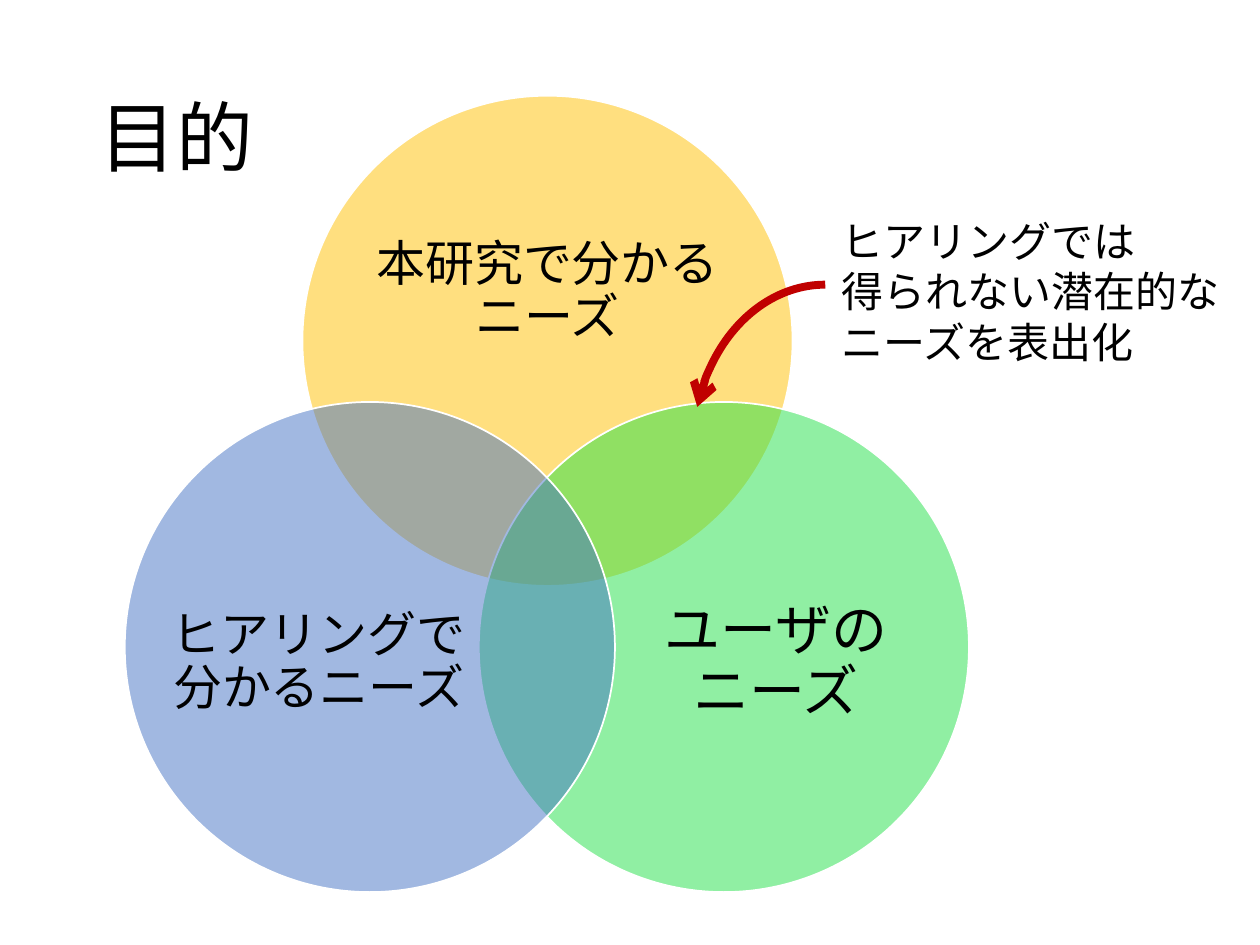
import pptx
import pptx.util
import pptx.dml.color
import pptx.enum.shapes
import pptx.enum.text
import pptx.oxml.ns
import lxml.etree

Inches, Pt = pptx.util.Inches, pptx.util.Pt
RGBColor = pptx.dml.color.RGBColor
SHAPES = pptx.enum.shapes.MSO_SHAPE
ANCHOR = pptx.enum.text.MSO_ANCHOR
ALIGN = pptx.enum.text.PP_ALIGN
qn = pptx.oxml.ns.qn

FONT = "Noto Sans CJK JP"
BLACK = RGBColor(0x00, 0x00, 0x00)
WHITE = RGBColor(0xFF, 0xFF, 0xFF)
YELLOW = RGBColor(0xFF, 0xC0, 0x00)
GREEN = RGBColor(0x23, 0xE1, 0x48)
BLUE = RGBColor(0x44, 0x72, 0xC4)
RED = RGBColor(0xC0, 0x00, 0x00)

TITLE = "目的"
CALLOUT = "ヒアリングでは\v得られない潜在的な\vニーズを表出化"
DIAMETER = 3.89
# circle left and top, colour, label, label box, label size
NEEDS = [
    ((2.4, 0.76), YELLOW, "本研究で分かるニーズ", (2.92, 1.44, 2.85, 1.75), 28),
    ((3.8, 3.19), GREEN, "ユーザのニーズ", (4.99, 4.19, 2.34, 2.14), 32),
    ((0.99, 3.19), BLUE, "ヒアリングで分かるニーズ", (1.36, 4.19, 2.34, 2.14), 28),
]
ARROW_BOX = (5.5, 2.26, 2.1, 2.6)
ARROW_ANGLES = (198, 270)


def add_text(slide, text, box, size, anchor=ANCHOR.TOP, spacing=None):
    """Add a wrapping text box and return its frame."""
    frame = slide.shapes.add_textbox(*map(Inches, box)).text_frame
    frame.word_wrap = True
    frame.vertical_anchor = anchor
    frame.text = text
    paragraph = frame.paragraphs[0]
    paragraph.line_spacing = spacing
    for run in paragraph.runs:
        run.font.size = Pt(size)
        run.font.name = FONT
        run.font.color.rgb = BLACK
        east_asian = lxml.etree.SubElement(run.font._element, qn("a:ea"))
        east_asian.set("typeface", FONT)
    return frame


def add_circle(slide, corner, color):
    """Add a half-transparent circle with a thin white outline."""
    box = (*corner, DIAMETER, DIAMETER)
    circle = slide.shapes.add_shape(SHAPES.OVAL, *map(Inches, box))
    circle.shadow.inherit = False
    circle.fill.solid()
    circle.fill.fore_color.rgb = color
    rgb = circle._element.spPr.find(qn("a:solidFill")).find(qn("a:srgbClr"))
    lxml.etree.SubElement(rgb, qn("a:alpha")).set("val", "50000")
    circle.line.color.rgb = WHITE
    circle.line.width = Pt(1)


def add_label(slide, text, box, size):
    """Add a centred label without insets."""
    frame = add_text(slide, text, box, size, ANCHOR.MIDDLE, 0.9)
    frame.margin_left = frame.margin_right = 0
    frame.margin_top = frame.margin_bottom = 0
    frame.paragraphs[0].alignment = ALIGN.CENTER


def add_curved_arrow(slide):
    """Add the arc from the callout to the overlap, head at its start."""
    arrow = slide.shapes.add_shape(SHAPES.ARC, *map(Inches, ARROW_BOX))
    for index, degrees in enumerate(ARROW_ANGLES):
        arrow.adjustments[index] = degrees * 0.6
    arrow.shadow.inherit = False
    arrow.fill.background()
    arrow.line.color.rgb = RED
    arrow.line.width = Pt(4.5)
    outline = arrow._element.spPr.find(qn("a:ln"))
    lxml.etree.SubElement(outline, qn("a:headEnd")).set("type", "arrow")


def build():
    """Build and save the slide."""
    deck = pptx.Presentation()
    deck.slide_width, deck.slide_height = Inches(10), Inches(7.5)
    slide = deck.slides.add_slide(deck.slide_layouts[6])
    add_text(slide, TITLE, (0.69, 0.4, 8.62, 1.45), 44, ANCHOR.MIDDLE, 0.9)
    for corner, color, label, box, size in NEEDS:
        add_circle(slide, corner, color)
        add_label(slide, label, box, size)
    add_curved_arrow(slide)
    add_text(slide, CALLOUT, (6.58, 1.66, 3.32, 1.31), 24)
    deck.save("out.pptx")


build()
